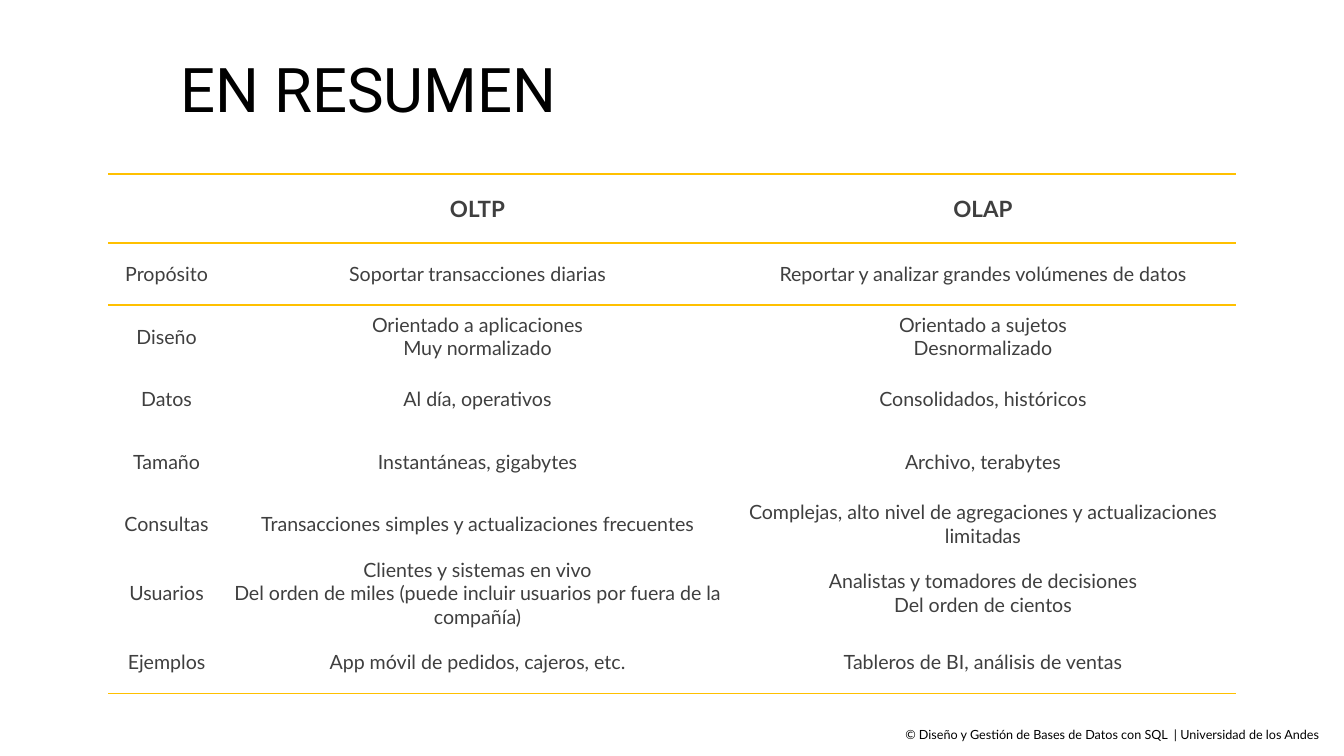
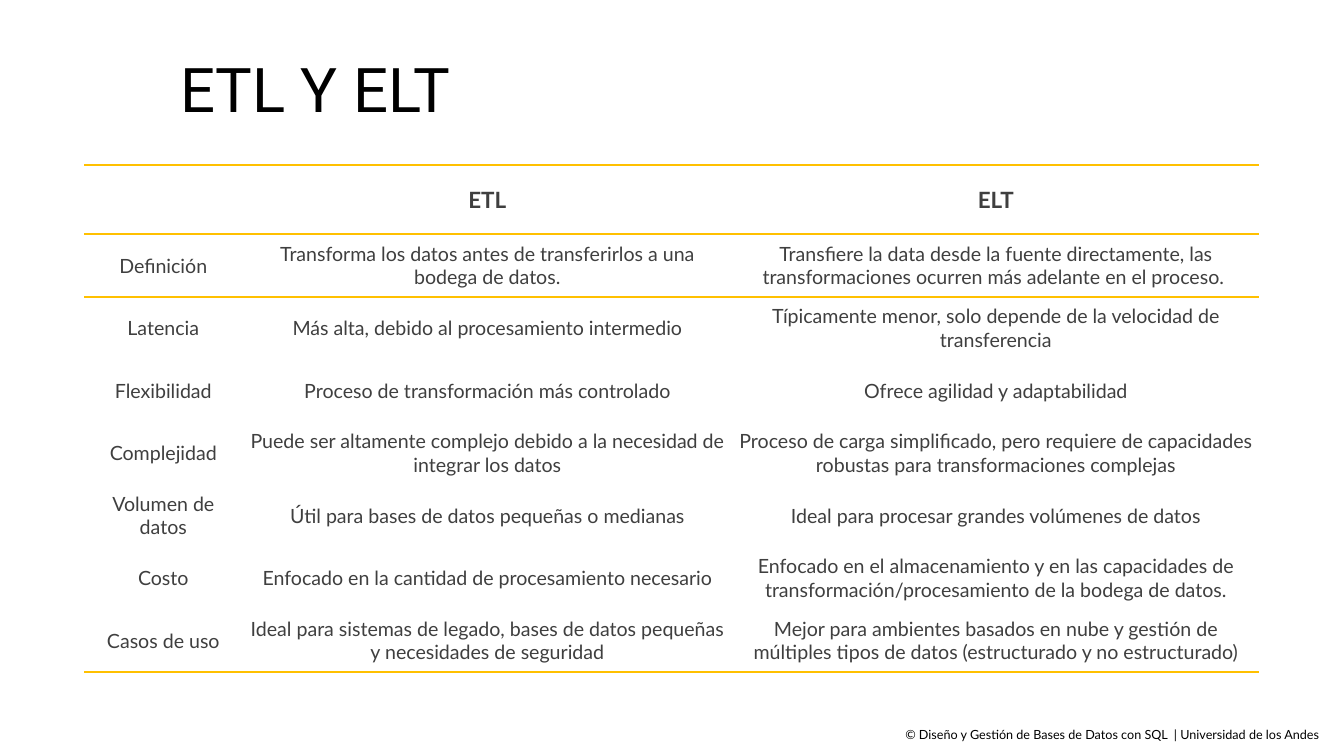
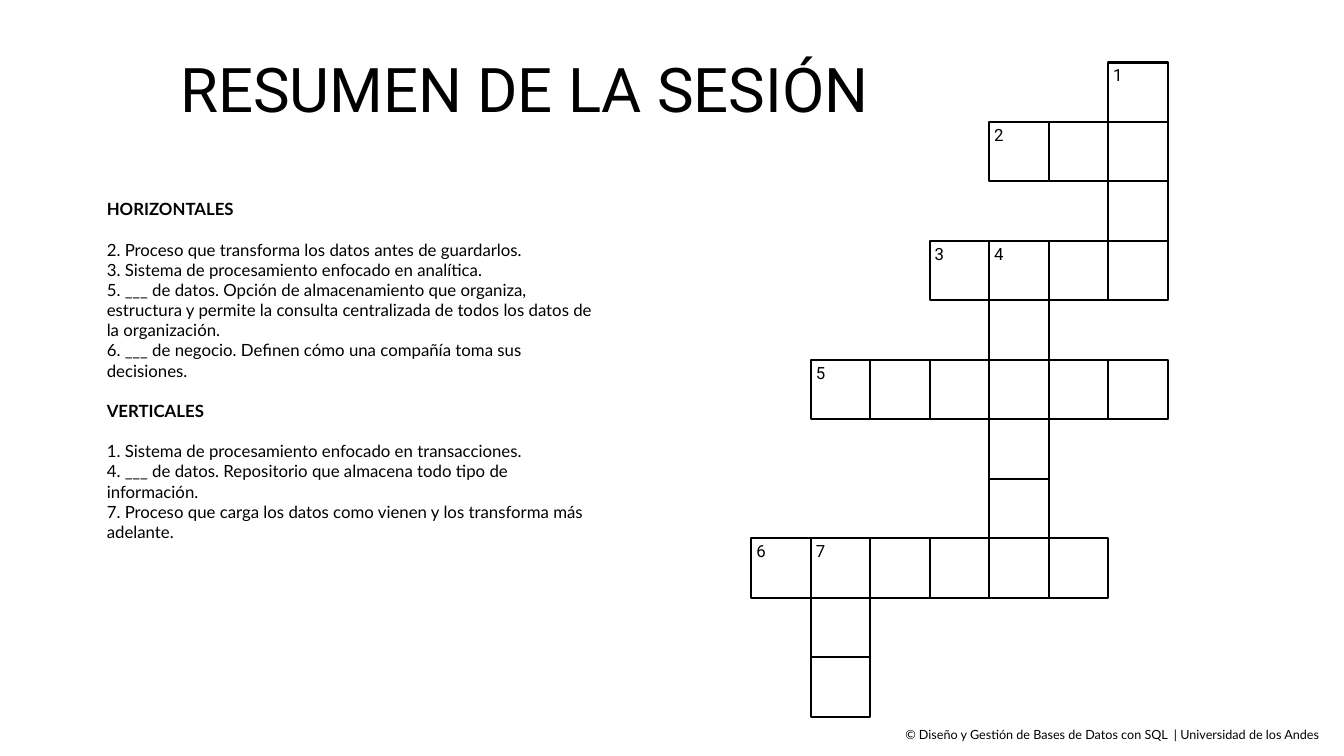
from lxml import etree
from pptx import Presentation
from pptx.dml.color import RGBColor
from pptx.enum.shapes import MSO_SHAPE as Shape
from pptx.enum.text import MSO_ANCHOR as Anchor, PP_ALIGN as Align
from pptx.oxml import parse_xml
from pptx.oxml.ns import nsdecls, qn
from pptx.util import Inches, Pt

COLORS = {"paper": "FFFFFF", "ink": "000000", "table_text": "3F3F3F", "rule": "FFC000"}
TITLE_FONT, BODY_FONT = "Roboto", "Lato"
FOOTER = "© Diseño y Gestión de Bases de Datos con SQL  | Universidad de los Andes "
NO_GRID_STYLE = "{2D5ABB26-0587-4C30-8999-92F81FD0307C}"
HEADER_HEIGHT, ROW_HEIGHT = 1.37, 1.24
CELL_OPACITY = 72

# In cell texts, "\n" starts a paragraph and "\v" breaks a line
OLTP_OLAP = [
    ("", "OLTP", "OLAP"),
    ("Propósito", "Soportar transacciones diarias",
     "Reportar y analizar grandes volúmenes de datos"),
    ("Diseño", "Orientado a aplicaciones\nMuy normalizado",
     "Orientado a sujetos\nDesnormalizado"),
    ("Datos", "Al día, operativos", "Consolidados, históricos"),
    ("Tamaño", "Instantáneas, gigabytes", "Archivo, terabytes"),
    ("Consultas", "Transacciones simples y actualizaciones frecuentes",
     "Complejas, alto nivel de agregaciones y actualizaciones limitadas"),
    ("Usuarios",
     "Clientes y sistemas en vivo\n"
     "Del orden de miles (puede incluir usuarios por fuera de la compañía)",
     "Analistas y tomadores de decisiones\vDel orden de cientos"),
    ("Ejemplos", "App móvil de pedidos, cajeros, etc.",
     "Tableros de BI, análisis de ventas"),
]

ETL_ELT = [
    ("", "ETL", "ELT"),
    ("Definición", "Transforma los datos antes de transferirlos a una bodega de datos.",
     "Transfiere la data desde la fuente directamente, las transformaciones "
     "ocurren más adelante en el proceso. "),
    ("Latencia", "Más alta, debido al procesamiento intermedio",
     "Típicamente menor, solo depende de la velocidad de transferencia"),
    ("Flexibilidad", "Proceso de transformación más controlado",
     "Ofrece agilidad y adaptabilidad"),
    ("Complejidad",
     "Puede ser altamente complejo debido a la necesidad de integrar los datos",
     "Proceso de carga simplificado, pero requiere de capacidades robustas "
     "para transformaciones complejas"),
    ("Volumen de datos", "Útil para bases de datos pequeñas o medianas",
     "Ideal para procesar grandes volúmenes de datos"),
    ("Costo", "Enfocado en la cantidad de procesamiento necesario",
     "Enfocado en el almacenamiento y en las capacidades de "
     "transformación/procesamiento de la bodega de datos."),
    ("Casos de uso",
     "Ideal para sistemas de legado, bases de datos pequeñas y necesidades de seguridad",
     "Mejor para ambientes basados en nube y gestión de múltiples tipos de datos "
     "(estructurado y no estructurado)"),
]

CLUES = {
    "HORIZONTALES": [
        "2. Proceso que transforma los datos antes de guardarlos.",
        "3. Sistema de procesamiento enfocado en analítica.",
        "5. ___ de datos. Opción de almacenamiento que organiza, estructura y permite "
        "la consulta centralizada de todos los datos de la organización.",
        "6. ___ de negocio. Definen cómo una compañía toma sus decisiones.",
    ],
    "VERTICALES": [
        "1. Sistema de procesamiento enfocado en transacciones.",
        "4. ___ de datos. Repositorio que almacena todo tipo de información.",
        "7. Proceso que carga los datos como vienen y los transforma más adelante.",
    ],
}

# "#" is an empty square, a digit a numbered one, "." no square
CROSSWORD = [
    "......1",
    "....2##",
    "......#",
    "...34##",
    "....#..",
    ".5#####",
    "....#..",
    "....#..",
    "67####.",
    ".#.....",
    ".#.....",
]


def color(name):
    return RGBColor.from_string(COLORS[name])


def write(frame, text, size=24, font=BODY_FONT, ink="ink", bold=False,
          align=Align.LEFT, spacing=None, before=0, after=0, append=False):
    """Write the lines of text as paragraphs and return them."""
    paras = []
    for number, line in enumerate(text.split("\n")):
        para = frame.add_paragraph() if append or number else frame.paragraphs[0]
        para.text = line
        para.alignment = align
        para.line_spacing = spacing
        para.space_before, para.space_after = Pt(before), Pt(after)
        for span in para.runs:
            span.font.name, span.font.size, span.font.bold = font, Pt(size), bold
            span.font.color.rgb = color(ink)
        paras.append(para)
    return paras


def add_text(page, box, text, anchor=Anchor.TOP, **style):
    frame = page.shapes.add_textbox(*map(Inches, box)).text_frame
    frame.word_wrap = True
    frame.vertical_anchor = anchor
    write(frame, text, **style)
    return frame


def add_page(deck, title):
    page = deck.slides.add_slide(deck.slide_layouts[6])
    page.background.fill.solid()
    page.background.fill.fore_color.rgb = color("paper")
    add_text(page, (3.48, 0.38, 19.7, 2.9), title, anchor=Anchor.MIDDLE,
             size=88, font=TITLE_FONT, spacing=0.9)
    add_text(page, (0.32, 14.38, 26.02, 0.4), FOOTER, size=18, align=Align.RIGHT)
    return page


def style_cell(cell, edges):
    """Give the cell its see-through fill and a rule on each named edge."""
    cell.vertical_anchor = Anchor.MIDDLE
    cell.fill.solid()
    cell.fill.fore_color.rgb = color("paper")
    props = cell._tc.get_or_add_tcPr()
    tint = props.find(".//" + qn("a:srgbClr"))
    etree.SubElement(tint, qn("a:alpha")).set("val", str(CELL_OPACITY * 1000))
    for place, edge in enumerate(edges):
        props.insert(place, parse_xml(
            f'<a:ln{edge} {nsdecls("a")} w="{Pt(3)}"><a:solidFill>'
            f'<a:srgbClr val="{COLORS["rule"]}"/></a:solidFill></a:ln{edge}>'))


def add_comparison(page, left, top, widths, rows):
    heights = [HEADER_HEIGHT] + [ROW_HEIGHT] * (len(rows) - 1)
    box = map(Inches, (left, top, sum(widths), sum(heights)))
    table = page.shapes.add_table(len(rows), len(widths), *box).table
    table.first_row = table.horz_banding = False
    table._tbl.tblPr.find(qn("a:tableStyleId")).text = NO_GRID_STYLE
    for column, width in zip(table.columns, widths):
        column.width = Inches(width)
    edges = {0: "TB", 1: "T", len(rows) - 1: "B"}
    for r, texts in enumerate(rows):
        table.rows[r].height = Inches(heights[r])
        for c, text in enumerate(texts):
            cell = table.cell(r, c)
            style_cell(cell, edges.get(r, ""))
            write(cell.text_frame, text, size=28 if r else 32, bold=not r,
                  ink="table_text", align=Align.CENTER)


def add_clues(page, box):
    gap = 28.8  # one line of text
    frame = None
    for heading, clues in CLUES.items():
        if frame is None:
            frame = add_text(page, box, heading, bold=True, after=gap)
        else:
            write(frame, heading, bold=True, before=gap, after=gap, append=True)
        write(frame, "\n".join(clues), append=True)


def add_crossword(page, left, top, side):
    squares = [(left + c * side, top + r * side, mark)
               for r, row in enumerate(CROSSWORD)
               for c, mark in enumerate(row) if mark != "."]
    for x, y, _ in squares:
        square = page.shapes.add_shape(Shape.RECTANGLE, *map(Inches, (x, y, side, side)))
        square.shadow.inherit = False
        square.fill.solid()
        square.fill.fore_color.rgb = color("paper")
        square.line.color.rgb = color("ink")
        square.line.width = Pt(3)
    # Numbers go above all squares
    for x, y, mark in squares:
        if mark != "#":
            add_text(page, (x, y, 0.51, 0.5), mark, font=TITLE_FONT)


def main():
    deck = Presentation()
    deck.slide_width, deck.slide_height = Inches(26.67), Inches(15)

    page = add_page(deck, "EN RESUMEN")
    add_comparison(page, 2.15, 3.45, (2.31, 10.03, 10.03), OLTP_OLAP)

    page = add_page(deck, "ETL Y ELT")
    add_comparison(page, 1.67, 3.28, (3.14, 9.72, 10.46), ETL_ELT)

    page = add_page(deck, "RESUMEN DE LA SESIÓN")
    add_clues(page, (2.02, 3.9, 10.01, 7.78))
    add_crossword(page, left=14.91, top=1.24, side=1.18)

    deck.save("out.pptx")


if __name__ == "__main__":
    main()
